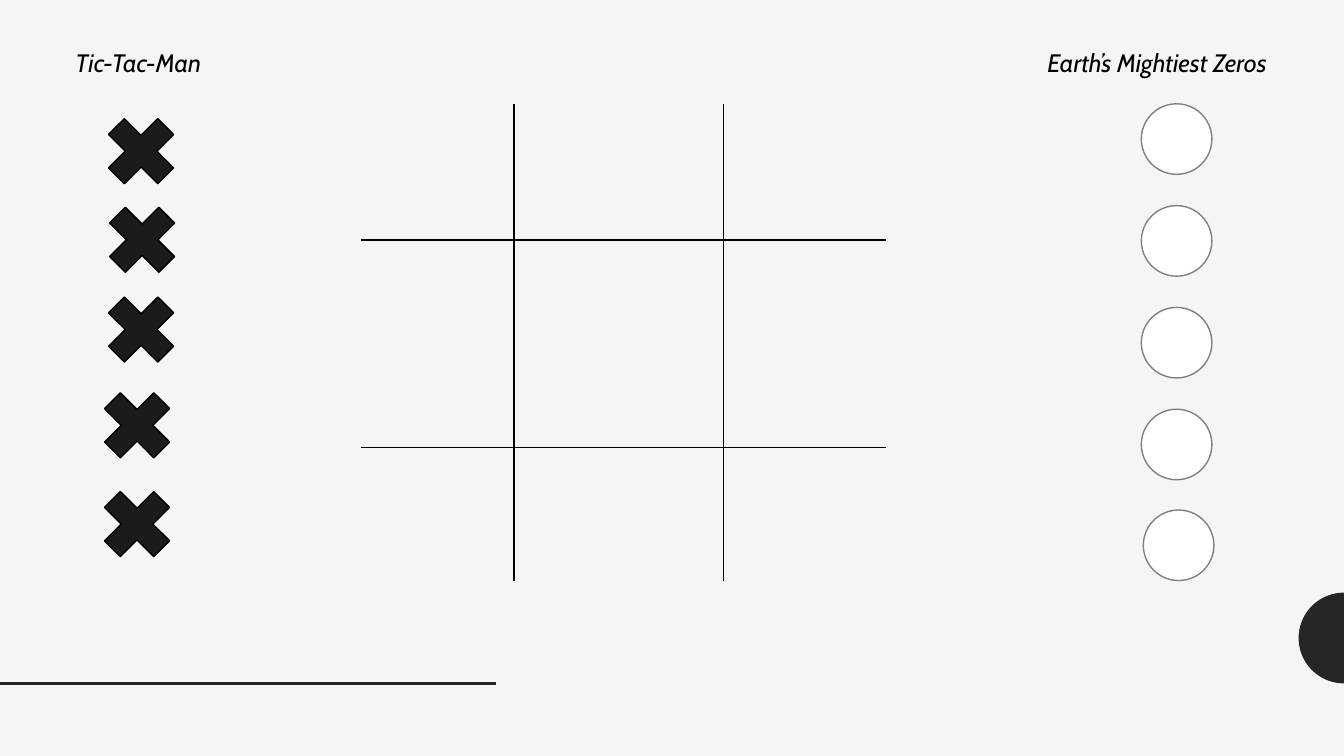
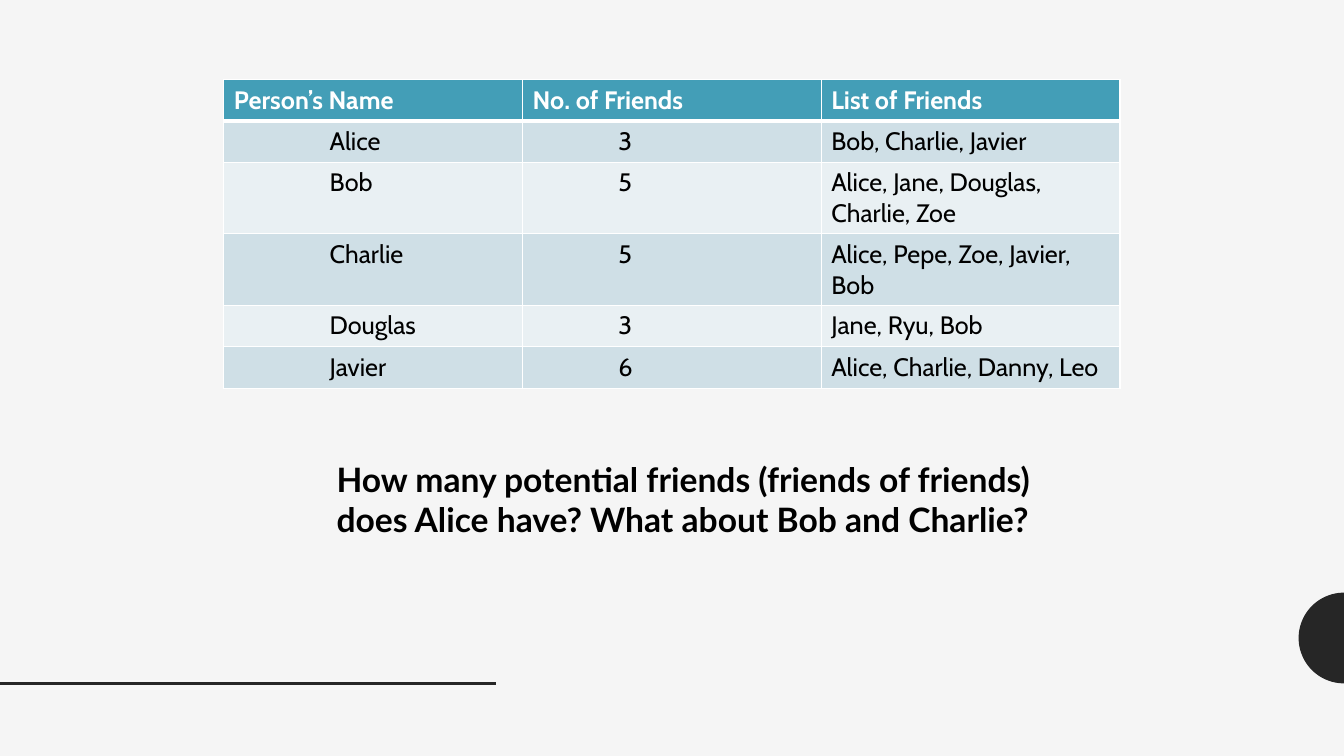
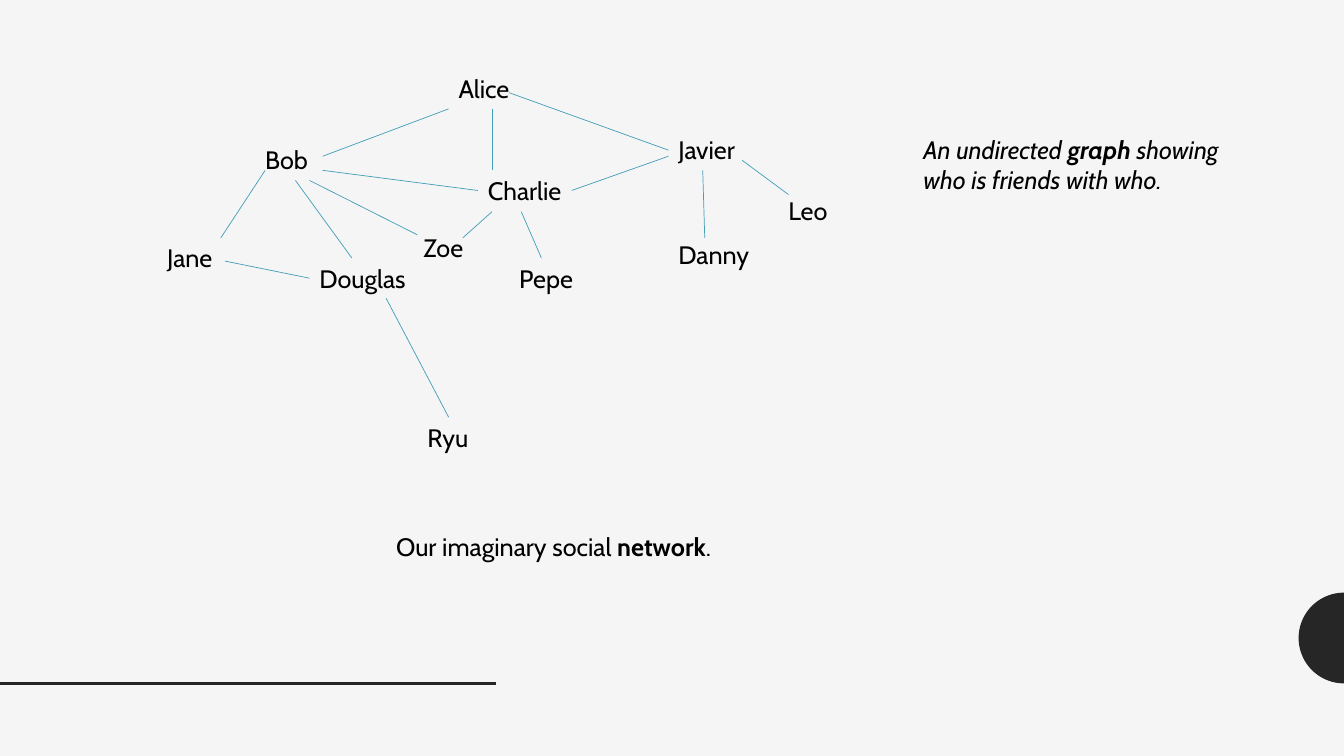
from math import cos, pi, sin

from lxml.etree import SubElement
from pptx import Presentation
from pptx.dml.color import RGBColor
from pptx.enum.shapes import MSO_CONNECTOR, MSO_SHAPE
from pptx.enum.text import MSO_AUTO_SIZE
from pptx.oxml.ns import qn
from pptx.util import Inches, Pt

# Content: game board
TEAMS = [("Tic-Tac-Man", 0.65, 2.45), ("Earth’s Mightiest Zeros", 10.29, 2.8)]
GRID = [  # from, to, width in points
    ((3.58, 2.38), (8.79, 2.38), 1.5),
    ((5.1, 1.03), (5.1, 5.76), 1.5),
    ((7.17, 1.03), (7.17, 5.76), 0.5),
    ((3.58, 4.44), (8.79, 4.44), 0.5),
]
CROSSES = [(0.93, 1.03), (0.94, 1.91), (0.93, 2.8), (0.89, 3.75), (0.89, 4.73)]
ZEROS = [(11.32, 1.03 + 1.01 * i) for i in range(4)] + [(11.34, 5.06)]

# Content: table of friends
FRIENDS = [
    ("Person’s Name", "No. of Friends", "List of Friends"),
    ("Alice", "3", "Bob, Charlie, Javier"),
    ("Bob", "5", "Alice, Jane, Douglas, Charlie, Zoe"),
    ("Charlie", "5", "Alice, Pepe, Zoe, Javier, Bob"),
    ("Douglas", "3", "Jane, Ryu, Bob"),
    ("Javier", "6", "Alice, Charlie, Danny, Leo"),
]
INDENTS = [1.05, 0.95, 0.1]
QUESTION = ("How many potential friends (friends of friends) does Alice have? "
            "What about Bob and Charlie?")

# Content: graph of friends
PEOPLE = [  # name, left, top, width
    ("Alice", 4.45, 0.68, 2.01), ("Bob", 2.53, 1.38, 1.09),
    ("Charlie", 4.74, 1.69, 1.37), ("Javier", 6.63, 1.28, 1.59),
    ("Jane", 1.56, 2.36, 1.26), ("Douglas", 3.07, 2.56, 1.52),
    ("Pepe", 5.05, 2.56, 1.58), ("Zoe", 4.1, 2.26, 0.95),
    ("Danny", 6.63, 2.33, 1.26), ("Leo", 7.72, 1.89, 1.53),
    ("Ryu", 4.14, 4.14, 1.53),
]
LINKS = [
    ((4.45, 1.08), (3.2, 1.55)),   # Alice, Bob
    ((4.88, 1.08), (4.88, 1.69)),  # Alice, Charlie
    ((5.05, 0.92), (6.63, 1.49)),  # Alice, Javier
    ((2.63, 1.69), (2.19, 2.36)),  # Bob, Jane
    ((2.93, 1.79), (3.49, 2.56)),  # Bob, Douglas
    ((3.2, 1.69), (4.74, 1.89)),   # Bob, Charlie
    ((3.07, 1.79), (4.14, 2.33)),  # Bob, Zoe
    ((5.17, 2.1), (5.37, 2.56)),   # Charlie, Pepe
    ((5.67, 1.89), (6.63, 1.55)),  # Charlie, Javier
    ((4.88, 2.1), (4.59, 2.36)),   # Charlie, Zoe
    ((3.07, 2.76), (2.23, 2.59)),  # Douglas, Jane
    ((3.83, 2.96), (4.45, 4.14)),  # Douglas, Ryu
    ((6.97, 1.69), (6.99, 2.36)),  # Javier, Danny
    ((7.36, 1.59), (7.82, 1.93)),  # Javier, Leo
]
NOTE = ["An undirected ", "graph ", "showing who is friends with who."]
CAPTION = ["Our imaginary social ", "network", "."]

# Shared style
PAPER, DARK, BLACK, WHITE = "F5F5F5", "262626", "000000", "FFFFFF"
TEAL, BANDS = "439EB7", ["E9F0F3", "CFDFE6"]
WIDE, HIGH = 13.33, 7.5


def color(code):
    return RGBColor.from_string(code)


def paint(part, code):
    part.fill.solid()
    part.fill.fore_color.rgb = color(code)


def style(run, size=18, font="Cabin", code=BLACK, bold=False, italic=False):
    face = run.font
    face.size, face.name = Pt(size), font
    face.bold, face.italic = bold, italic
    face.color.rgb = color(code)


def write(slide, words, left, top, width, high=0.4, strong=(), **look):
    """Add a text box; words is a list of runs, strong the bold ones."""
    box = slide.shapes.add_textbox(*map(Inches, (left, top, width, high)))
    frame = box.text_frame
    frame.word_wrap = True
    frame.auto_size = MSO_AUTO_SIZE.SHAPE_TO_FIT_TEXT
    for i, word in enumerate(words):
        run = frame.paragraphs[0].add_run()
        run.text = word
        style(run, bold=i in strong, **look)


def draw(shapes, start, end, code, width):
    line = shapes.add_connector(MSO_CONNECTOR.STRAIGHT,
                                *map(Inches, start + end))
    line.line.color.rgb = color(code)
    line.line.width = Pt(width)
    SubElement(line.element.spPr, qn("a:effectLst"))
    return line


def token(slide, kind, spot, size, fill, edge):
    shape = slide.shapes.add_shape(kind, *map(Inches, (*spot, size, size)))
    shape.shadow.inherit = False
    paint(shape, fill)
    shape.line.color.rgb = color(edge)
    shape.line.width = Pt(1)


def border(cell, **widths):
    props = cell._tc.get_or_add_tcPr()
    for side in "LRTB":
        line = SubElement(props, qn("a:ln" + side),
                          w=str(Pt(widths.get(side, 1))))
        fill = SubElement(line, qn("a:solidFill"))
        SubElement(fill, qn("a:srgbClr"), val=WHITE)


def dress(master, slide):
    """Give the master its background, half disc and footer line."""
    paint(master.background, PAPER)
    mid, radius, steps = 6.33, 0.45, 48
    arc = [(Inches(WIDE - radius * sin(pi * i / steps)),
            Inches(mid - radius * cos(pi * i / steps)))
           for i in range(steps + 1)]
    form = slide.shapes.build_freeform(*arc[0], scale=1.0)
    form.add_line_segments(arc[1:], close=True)
    disc = form.convert_to_shape()
    disc.shadow.inherit = False
    paint(disc, DARK)
    disc.line.fill.background()
    rule = draw(slide.shapes, (0, 6.78), (4.92, 6.78), DARK, 2)
    for i, part in enumerate((disc, rule)):
        part.element.xpath(".//p:cNvPr")[0].set("id", str(100 + i))
        master.shapes.element.append(part.element)


deck = Presentation()
deck.slide_width, deck.slide_height = Inches(WIDE), Inches(HIGH)
game, chart, graph = [deck.slides.add_slide(deck.slide_layouts[6])
                      for _ in range(3)]
dress(deck.slide_master, game)

# Slide 1: game board
board = game.shapes.add_group_shape()
for start, end, width in GRID:
    draw(board.shapes, start, end, BLACK, width)
for spot in ZEROS:
    token(game, MSO_SHAPE.OVAL, spot, 0.7, WHITE, "808080")
for spot in CROSSES:
    token(game, MSO_SHAPE.MATH_MULTIPLY, spot, 0.94, "1D1A1D", BLACK)
for team, left, width in TEAMS:
    write(game, [team], left, 0.42, width, italic=True)

# Slide 2: table and question
table = chart.shapes.add_table(
    len(FRIENDS), len(INDENTS), Inches(2.22), Inches(0.79),
    Inches(8.89), Inches(0.41 * len(FRIENDS))).table
for r, row in enumerate(FRIENDS):
    head = r == 0
    for c, word in enumerate(row):
        cell = table.cell(r, c)
        cell.text_frame.text = word
        cell.margin_left = Inches(0.1 if head else INDENTS[c])
        style(cell.text_frame.paragraphs[0].runs[0], bold=head,
              code=WHITE if head else BLACK)
        border(cell, B=3 if head else 1, T=3 if r == 1 else 1)
        paint(cell, TEAL if head else BANDS[r % 2])
write(chart, [QUESTION], 3.24, 4.5, 7.17, 0.91, strong=[0],
      size=24, font="Lato")

# Slide 3: graph
for name, left, top, width in PEOPLE:
    write(graph, [name], left, top, width)
write(graph, NOTE, 9.06, 1.28, 3.13, 1.01, strong=[1], italic=True)
write(graph, CAPTION, 3.83, 5.22, 3.59, strong=[1])
for start, end in LINKS:
    draw(graph.shapes, start, end, TEAL, 0.5)

deck.save("out.pptx")
